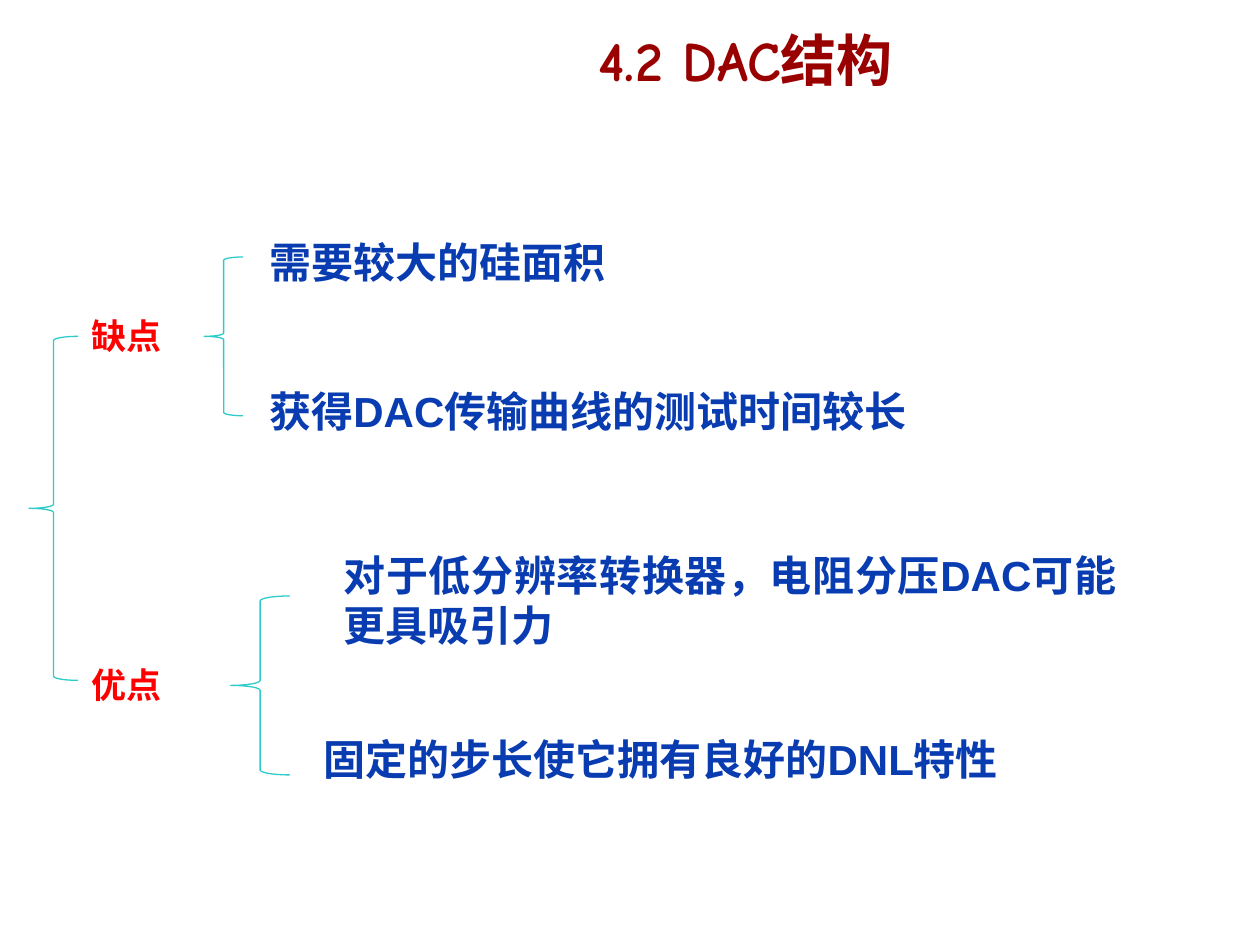
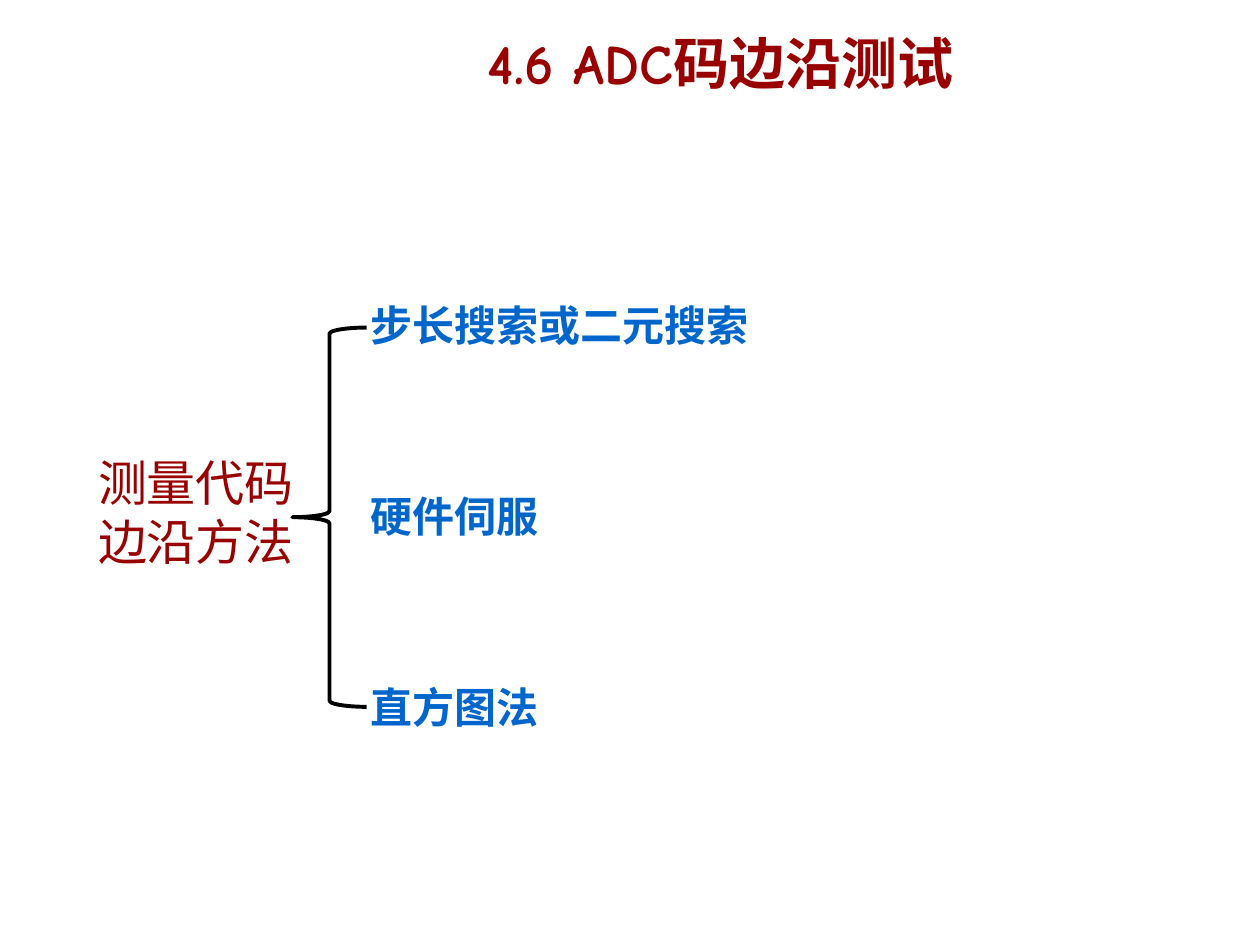
import lxml.etree
import pptx
import pptx.dml.color
import pptx.enum.shapes
import pptx.enum.text
import pptx.oxml.ns
import pptx.util

COLUMNS, ROWS = 100, 75
CHINESE_FONT = "Noto Sans CJK SC"
DARK_RED, RED = "990000", "FF0000"
NAVY, BLUE = "083CB0", "0066CC"
TEAL, BLACK = "2ECBCB", "000000"
ALIGN = pptx.enum.text.PP_ALIGN
ANCHOR = pptx.enum.text.MSO_ANCHOR
SHAPE = pptx.enum.shapes.MSO_SHAPE


def colour(hex_string):
    return pptx.dml.color.RGBColor.from_string(hex_string)


class Lecture:
    """Holds the deck, its style and the current page; places are grid columns and rows."""

    def __init__(self):
        self.deck = pptx.Presentation()
        self.deck.slide_width = pptx.util.Inches(10)
        self.deck.slide_height = pptx.util.Inches(7.5)
        self.page = None

    def place(self, left, top, width, height):
        column = self.deck.slide_width / COLUMNS
        row = self.deck.slide_height / ROWS
        return [round(share) for share in
                (left * column, top * row, width * column, height * row)]

    def add_page(self):
        self.page = self.deck.slides.add_slide(self.deck.slide_layouts[6])

    def add_outline(self, preset, place):
        shape = self.page.shapes.add_shape(preset, *self.place(*place))
        shape.shadow.inherit = False
        shape.fill.background()
        return shape

    def add_span(self, box, text, size, ink, font, bold, align):
        para = box.text_frame.paragraphs[0]
        para.alignment = align
        span = para.add_run()
        span.text = text
        span.font.name = font
        span.font.size = pptx.util.Pt(size)
        span.font.bold = bold
        span.font.color.rgb = colour(ink)
        east_asian = lxml.etree.SubElement(span.font._element, pptx.oxml.ns.qn("a:ea"))
        east_asian.set("typeface", CHINESE_FONT)
        return para

    def title(self, text, place):
        frame = self.add_outline(SHAPE.ROUNDED_RECTANGLE, place)
        frame.adjustments[0] = 0.22
        frame.line.fill.background()
        frame.text_frame.word_wrap = True
        frame.text_frame.vertical_anchor = ANCHOR.MIDDLE
        para = self.add_span(frame, text, 32, DARK_RED, "Comic Neue", True, ALIGN.CENTER)
        para.line_spacing = 0.9

    def label(self, text, place, size, ink, font="Arial", bold=True,
              align=ALIGN.LEFT, wrap=False):
        box = self.page.shapes.add_textbox(*self.place(*place))
        box.text_frame.word_wrap = wrap
        self.add_span(box, text, size, ink, font, bold, align)

    def brace(self, place, ink, weight):
        brace = self.add_outline(SHAPE.LEFT_BRACE, place)
        brace.line.color.rgb = colour(ink)
        brace.line.width = pptx.util.Pt(weight)


def dac_structure(lecture):
    lecture.add_page()
    lecture.title("4.2 DAC结构", (23, 0.4, 72.4, 9.3))
    for place in ((2.3, 26.7, 3.9, 27.3), (16.2, 20.4, 3.1, 12.6), (18.3, 47.3, 4.7, 14.2)):
        lecture.brace(place, TEAL, 0.75)
    for text, top in (("缺点", 24.5), ("优点", 52.2)):
        lecture.label(text, (6.3, top, 7.6, 4.4), 20, RED)
    lecture.label("需要较大的硅面积", (20.4, 18.3, 28.8, 5), 24, NAVY)
    for text, place, align in (
        ("获得DAC传输曲线的测试时间较长", (20.4, 30.1, 75, 5), ALIGN.LEFT),
        ("对于低分辨率转换器，电阻分压DAC可能更具吸引力", (26.3, 43.1, 63.3, 9.1), ALIGN.JUSTIFY),
        ("固定的步长使它拥有良好的DNL特性", (24.7, 57.7, 69.1, 5), ALIGN.JUSTIFY),
    ):
        lecture.label(text, place, 24, NAVY, align=align, wrap=True)


def adc_edge_test(lecture):
    lecture.add_page()
    lecture.title("4.6 ADC码边沿测试 ", (15.4, 0.6, 84.6, 9.3))
    lecture.label("测量代码边沿方法", (6.8, 35.4, 19.3, 10.4), 28, DARK_RED,
                  CHINESE_FONT, bold=False, wrap=True)
    lecture.brace((23.2, 26, 5.9, 30.1), BLACK, 2.25)
    methods = (("步长搜索或二元搜索", 32.3), ("硬件伺服", 15.5), ("直方图法", 15.5))
    for index, (text, width) in enumerate(methods):
        lecture.label(text, (28.4, 23.3 + 15.15 * index, width, 5), 24, BLUE, CHINESE_FONT)


def main():
    lecture = Lecture()
    dac_structure(lecture)
    adc_edge_test(lecture)
    lecture.deck.save("out.pptx")


if __name__ == "__main__":
    main()
